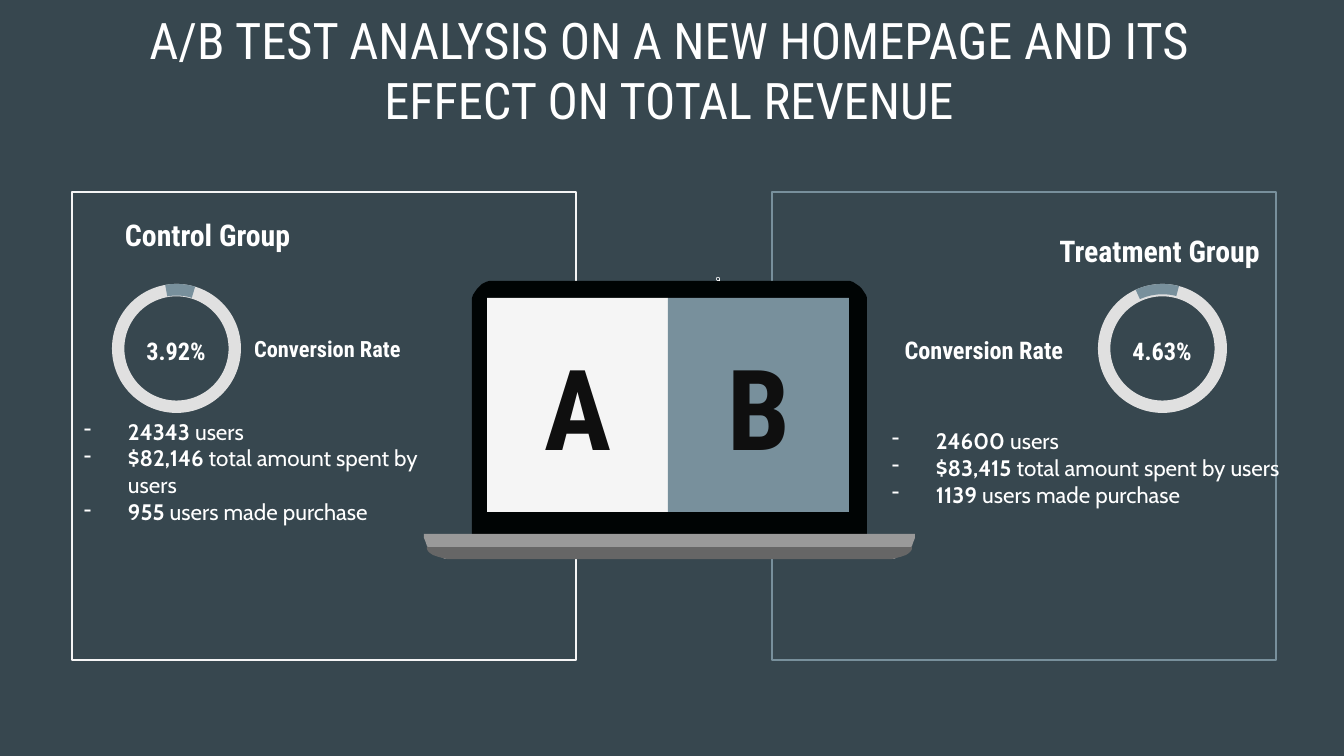
import math

from lxml import etree
from pptx import Presentation
from pptx.dml.color import RGBColor
from pptx.enum.shapes import MSO_SHAPE
from pptx.enum.text import MSO_ANCHOR, PP_ALIGN
from pptx.oxml.ns import qn
from pptx.util import Emu, Pt

PX = 914400 / 134.4
COLORS = {
    "background": "37474F", "white": "FFFFFF", "pale": "F5F5F5", "slate": "78909C",
    "lid": "000404", "base": "999999", "edge": "666666", "letter": "0F0F0F",
    "track": "E0E0E0",
}
HEADING, BODY = "Roboto Condensed", "Cabin"
RECT, OVAL = MSO_SHAPE.RECTANGLE, MSO_SHAPE.OVAL
DONUT, ARC = MSO_SHAPE.DONUT, MSO_SHAPE.BLOCK_ARC
LEFT, CENTER, RIGHT = PP_ALIGN.LEFT, PP_ALIGN.CENTER, PP_ALIGN.RIGHT
TOP, MIDDLE = MSO_ANCHOR.TOP, MSO_ANCHOR.MIDDLE
INSET, LIST_MARGIN, LIST_INDENT = 13, 67, -44
RING_SIZE = 129


def px(length):
    """Turn pixels into EMU."""
    return Emu(round(length * PX))


def rgb(name):
    """Look up a named colour."""
    return RGBColor.from_string(COLORS[name])


def paint(shape, fill=None, line=None):
    """Set the fill and outline of a shape and drop its shadow."""
    shape.shadow.inherit = False
    if fill:
        shape.fill.solid()
        shape.fill.fore_color.rgb = rgb(fill)
    else:
        shape.fill.background()
    if line:
        shape.line.color.rgb = rgb(line)
        shape.line.width = Pt(0.75)
    else:
        shape.line.fill.background()


def add_preset(slide, kind, box, fill=None, line=None, adjustments=()):
    """Add a preset shape."""
    shape = slide.shapes.add_shape(kind, *map(px, box))
    for index, value in enumerate(adjustments):
        shape.adjustments[index] = value
    paint(shape, fill, line)


def add_rounded(slide, box, fill, top=(0, 0), bottom=(0, 0)):
    """Draw an outline whose top and bottom corners have their own radii."""
    left, upper, width, height = box
    corners = [
        (left + width, upper, -1, 1, top, 270),
        (left + width, upper + height, -1, -1, bottom, 0),
        (left, upper + height, 1, -1, bottom, 90),
        (left, upper, 1, 1, top, 180),
    ]
    points = []
    for x, y, inward_x, inward_y, (rx, ry), start in corners:
        for degrees in range(start, start + 91, 10):
            angle = math.radians(degrees)
            points.append((x + rx * (inward_x + math.cos(angle)),
                           y + ry * (inward_y + math.sin(angle))))
    builder = slide.shapes.build_freeform(*points[0], scale=PX)
    builder.add_line_segments(points[1:], close=True)
    paint(builder.convert_to_shape(), fill)


def add_dash(paragraph):
    """Give a paragraph a hanging white dash."""
    props = paragraph._p.get_or_add_pPr()
    props.set("marL", str(px(LIST_MARGIN)))
    props.set("indent", str(px(LIST_INDENT)))
    color = etree.SubElement(props, qn("a:buClr"))
    etree.SubElement(color, qn("a:srgbClr")).set("val", COLORS["white"])
    etree.SubElement(props, qn("a:buChar")).set("char", "-")


def add_text(slide, box, paragraphs, size, font=HEADING, color="white",
             align=CENTER, anchor=MIDDLE, dashed=False):
    """Add a text box from paragraphs of (text, bold) runs."""
    frame = slide.shapes.add_textbox(*map(px, box)).text_frame
    frame.word_wrap = True
    frame.vertical_anchor = anchor
    frame.margin_left = frame.margin_right = px(INSET)
    frame.margin_top = frame.margin_bottom = px(INSET)
    for index, runs in enumerate(paragraphs):
        paragraph = frame.add_paragraph() if index else frame.paragraphs[0]
        paragraph.alignment = align
        if dashed:
            add_dash(paragraph)
        for text, bold in runs:
            run = paragraph.add_run()
            run.text = text
            run.font.name, run.font.size, run.font.bold = font, Pt(size), bold
            run.font.color.rgb = rgb(color)


def add_label(slide, box, text, size, **style):
    """Add one bold line of text."""
    add_text(slide, box, [[(text, True)]], size, **style)


def add_facts(slide, box, users, spent, buyers, anchor):
    """List the figures of one test group."""
    facts = [(users, " users"), (spent, " total amount spent by users"),
             (buyers, " users made purchase")]
    add_text(slide, box, [[(figure, True), (note, False)] for figure, note in facts],
             12, font=BODY, align=LEFT, anchor=anchor, dashed=True)


def add_rate_ring(slide, left, rate, arc):
    """Draw a conversion ring with its rate in the middle."""
    box = (left, 284, RING_SIZE, RING_SIZE)
    add_preset(slide, DONUT, box, "track", adjustments=[0.096])
    add_preset(slide, ARC, box, "slate", adjustments=arc)
    add_label(slide, (left + 20, 327, 88, 48), rate, 13)


def add_laptop(slide):
    """Draw the laptop with both page versions on its screen."""
    add_rounded(slide, (472, 281, 395, 276), "lid", top=(21, 21), bottom=(21, 21))
    add_rounded(slide, (424, 534, 491, 25), "base", bottom=(26, 25))
    add_rounded(slide, (427, 547, 485, 12), "edge", bottom=(24, 12))
    add_preset(slide, DONUT, (716, 277, 4, 4), "white", adjustments=[0.15])
    add_preset(slide, OVAL, (719, 280, 1, 1), "white")
    for left, letter, fill in [(487, "A", "pale"), (668, "B", "slate")]:
        add_preset(slide, RECT, (left, 298, 181, 214), fill)
        add_label(slide, (left + 25, 370, 131, 71), letter, 60, color="letter")


def main():
    """Build the slide and save it."""
    deck = Presentation()
    deck.slide_width, deck.slide_height = px(1344), px(756)
    slide = deck.slides.add_slide(deck.slide_layouts[6])
    slide.background.fill.solid()
    slide.background.fill.fore_color.rgb = rgb("background")

    for left, line in [(772, "slate"), (72, "pale")]:
        add_preset(slide, RECT, (left, 192, 504, 468), line=line)
    title = "A/B TEST ANALYSIS ON A NEW HOMEPAGE AND ITS EFFECT ON TOTAL REVENUE"
    add_text(slide, (64, 33, 1210, 73), [[(title, False)]], 27)
    add_laptop(slide)

    add_label(slide, (112, 221, 271, 28), "Control Group", 16, align=LEFT)
    add_rate_ring(slide, 112, "3.92%", [155.99, 172.12, 0.09])
    add_label(slide, (241, 335, 204, 28), "Conversion Rate", 12, align=LEFT)
    add_facts(slide, (48, 425, 426, 93), "24343", "$82,146", "955", MIDDLE)

    add_label(slide, (1042, 237, 235, 28), "Treatment Group", 16)
    add_rate_ring(slide, 1098, "4.63%", [147.27, 170.91, 0.08])
    add_label(slide, (891, 336, 185, 28), "Conversion Rate", 13, align=RIGHT)
    add_facts(slide, (856, 414, 441, 136), "24600", "$83,415", "1139", TOP)

    deck.save("out.pptx")


if __name__ == "__main__":
    main()
